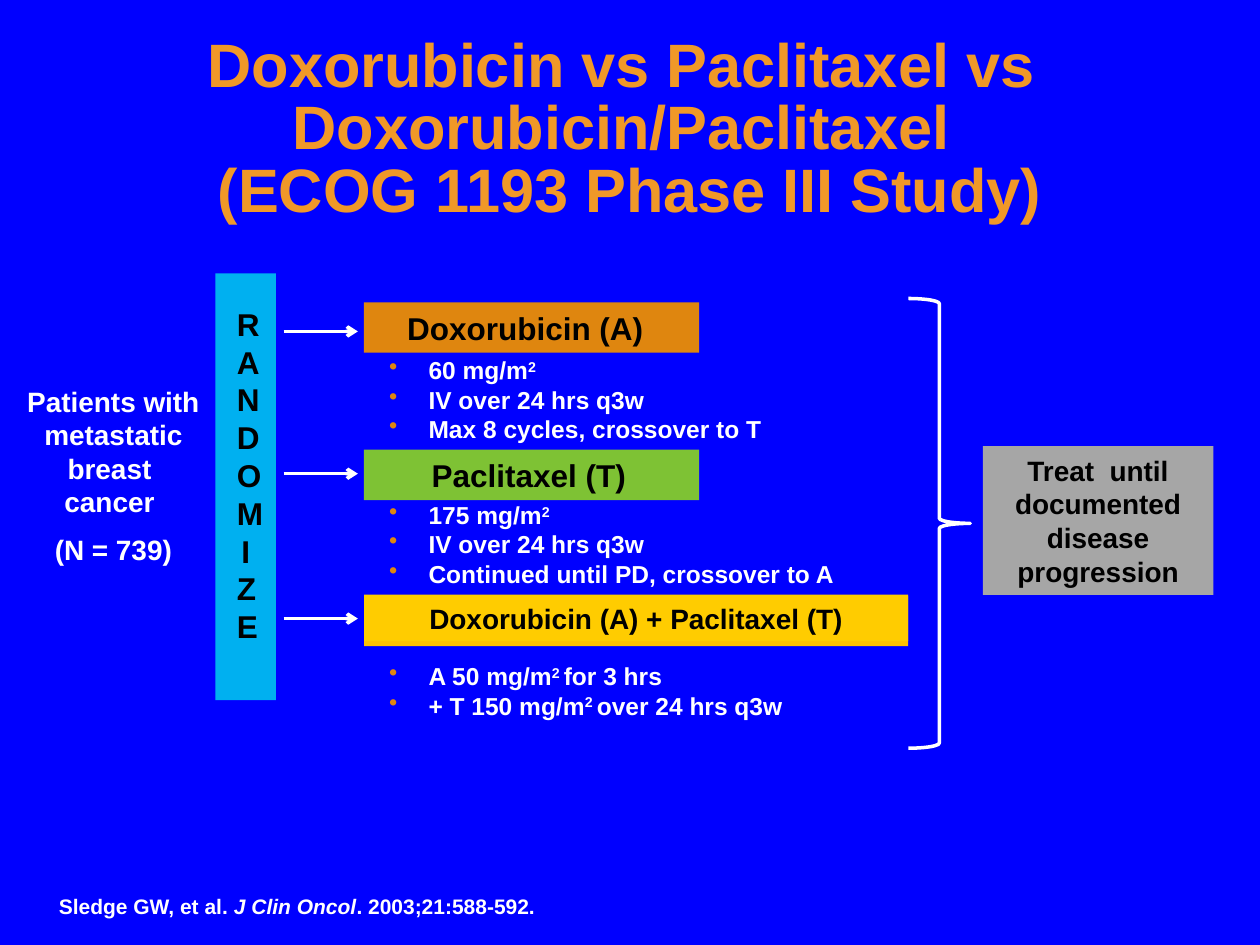
from collections import namedtuple
from dataclasses import dataclass

from lxml.etree import SubElement
from pptx import Presentation
from pptx.dml.color import RGBColor
from pptx.enum.shapes import MSO_CONNECTOR, MSO_SHAPE
from pptx.enum.text import MSO_ANCHOR, MSO_AUTO_SIZE, PP_ALIGN
from pptx.oxml.ns import qn
from pptx.util import Pt


@dataclass(frozen=True)
class Theme:
    font: str = "Arial"
    background: str = "0000FF"
    title: str = "F09828"
    light: str = "FFFFFF"
    dark: str = "000000"
    randomize: str = "00B0F0"
    outcome: str = "A6A6A6"
    bullet: str = "DF860F"
    doxorubicin: str = "DF860F"
    paclitaxel: str = "7EC234"
    combination: str = "FFCC00"
    combination_edge: str = "FFC000"
    title_size: float = 35
    heading_size: float = 18
    text_size: float = 16
    bullet_size: float = 14
    citation_size: float = 12
    line_width: float = 2


THEME = Theme()
Box = namedtuple("Box", "left top width height")
# nudge: extra right inset that moves the centred label left
Arm = namedtuple("Arm", "label size color header nudge arrow_y details items")

ARMS = [
    Arm("Doxorubicin (A)", THEME.heading_size, THEME.doxorubicin,
        Box(208, 172.8, 191.5, 28.8), 7, 189.4, Box(215.3, 199.4, 240, 58.3),
        [["60 mg/m", "^2"], ["IV over 24 hrs q3w"], ["Max 8 cycles, crossover to T"]]),
    Arm("Paclitaxel (T)", THEME.heading_size, THEME.paclitaxel,
        Box(208, 257, 191.5, 28.8), 3, 270.7, Box(215.3, 282.2, 312, 58.3),
        [["175 mg/m", "^2"], ["IV over 24 hrs q3w"], ["Continued until PD, crossover to A"]]),
    Arm("Doxorubicin (A) + Paclitaxel (T)", THEME.text_size, THEME.combination,
        Box(208, 339.8, 311, 26.6), 0, 353.5, Box(215.3, 374.4, 312, 41),
        [["A 50 mg/m", "^2 ", "for 3 hrs"], ["+ T 150 mg/m", "^2 ", "over 24 hrs q3w"]]),
]


def points(box):
    return [Pt(value) for value in box]


def add_run(paragraph, text, size, color, italic=False):
    run = paragraph.add_run()
    run.text = text
    font = run.font
    font.name, font.size, font.bold = THEME.font, Pt(size), True
    font.color.rgb = RGBColor.from_string(color)
    if italic:
        font.italic = True
    return run


def add_rectangle(slide, box, color):
    shape = slide.shapes.add_shape(MSO_SHAPE.RECTANGLE, *points(box))
    shape.shadow.inherit = False
    shape.fill.solid()
    shape.fill.fore_color.rgb = RGBColor.from_string(color)
    shape.line.fill.background()
    shape.text_frame.word_wrap = True
    return shape


def add_label(shape, text, size):
    paragraph = shape.text_frame.paragraphs[0]
    paragraph.alignment = PP_ALIGN.CENTER
    add_run(paragraph, text, size, THEME.dark)


def add_text_frame(slide, box):
    frame = slide.shapes.add_textbox(*points(box)).text_frame
    frame.word_wrap = True
    return frame


def add_title(slide, box):
    title = slide.shapes.title
    title.left, title.top, title.width, title.height = points(box)
    frame = title.text_frame
    frame.word_wrap = True
    frame.auto_size = MSO_AUTO_SIZE.NONE
    frame.vertical_anchor = MSO_ANCHOR.MIDDLE
    first, second = frame.paragraphs[0], frame.add_paragraph()
    runs = [add_run(first, "Doxorubicin vs Paclitaxel vs ", THEME.title_size, THEME.title),
            add_run(second, "Doxorubicin/Paclitaxel ", THEME.title_size, THEME.title)]
    second.add_line_break()
    runs.append(add_run(second, "(ECOG 1193 Phase III Study)", THEME.title_size, THEME.title))
    for paragraph in (first, second):
        paragraph.alignment = PP_ALIGN.CENTER
        paragraph.line_spacing = 0.85
        paragraph.space_before = Pt(0)
    # Text shadow, placed right after the run's fill
    for run in runs:
        properties = run._r.get_or_add_rPr()
        effects = SubElement(properties, qn("a:effectLst"))
        shadow = SubElement(effects, qn("a:outerShdw"), dist="38100", dir="2700000")
        SubElement(shadow, qn("a:srgbClr"), val=THEME.dark)
        properties.find(qn("a:solidFill")).addnext(effects)


def add_patients(slide, box):
    frame = add_text_frame(slide, box)
    group, count = frame.paragraphs[0], frame.add_paragraph()
    add_run(group, "Patients with metastatic breast ", THEME.text_size, THEME.light)
    group.add_line_break()
    add_run(group, "cancer ", THEME.text_size, THEME.light)
    add_run(count, "(N = 739)", THEME.text_size, THEME.light)
    count.space_before = Pt(8)
    group.alignment = count.alignment = PP_ALIGN.CENTER


def add_randomize_bar(slide, box):
    bar = add_rectangle(slide, box, THEME.randomize)
    frame = bar.text_frame
    frame.vertical_anchor = MSO_ANCHOR.TOP
    # Wide insets leave room for one letter a line
    frame.margin_left = frame.margin_right = Pt(12.2)
    frame.margin_top = Pt(18)
    add_label(bar, "RANDOMIZE", THEME.heading_size)


def add_arrow(slide, left, right, y):
    arrow = slide.shapes.add_connector(
        MSO_CONNECTOR.STRAIGHT, Pt(left), Pt(y), Pt(right), Pt(y))
    arrow.line.color.rgb = RGBColor.from_string(THEME.light)
    arrow.line.width = Pt(THEME.line_width)
    SubElement(arrow.line._get_or_add_ln(), qn("a:tailEnd"), type="arrow")
    SubElement(arrow._element.spPr, qn("a:effectLst"))


def add_bullets(slide, box, items):
    frame = add_text_frame(slide, box)
    for index, parts in enumerate(items):
        paragraph = frame.add_paragraph() if index else frame.paragraphs[0]
        properties = paragraph._p.get_or_add_pPr()
        properties.set("marL", str(Pt(22.5)))
        properties.set("indent", str(-Pt(22.5)))
        color = SubElement(properties, qn("a:buClr"))
        SubElement(color, qn("a:srgbClr"), val=THEME.bullet)
        SubElement(properties, qn("a:buChar"), char="•")
        for part in parts:
            run = add_run(paragraph, part.lstrip("^"), THEME.bullet_size, THEME.light)
            if part.startswith("^"):
                run._r.get_or_add_rPr().set("baseline", "30000")


def add_arm(slide, arm):
    header = add_rectangle(slide, arm.header, arm.color)
    header.text_frame.margin_right = Pt(7.2 + arm.nudge)
    add_label(header, arm.label, arm.size)
    add_bullets(slide, arm.details, arm.items)
    add_arrow(slide, 162, 204.5, arm.arrow_y)


def add_outcome(slide, brace_box, box):
    brace = slide.shapes.add_shape(MSO_SHAPE.RIGHT_BRACE, *points(brace_box))
    brace.shadow.inherit = False
    brace.fill.background()
    brace.line.color.rgb = RGBColor.from_string(THEME.light)
    brace.line.width = Pt(THEME.line_width)
    outcome = add_rectangle(slide, box, THEME.outcome)
    add_label(outcome, "Treat  until documented disease progression", THEME.text_size)


def add_citation(slide, box):
    paragraph = add_text_frame(slide, box).paragraphs[0]
    for text, italic in (("Sledge GW, et al. ", False), ("J Clin Oncol", True),
                         (". 2003;21:588-592.", False)):
        add_run(paragraph, text, THEME.citation_size, THEME.light, italic)


def main():
    presentation = Presentation()
    presentation.slide_width, presentation.slide_height = Pt(720), Pt(540)
    slide = presentation.slides.add_slide(presentation.slide_layouts[5])
    slide.background.fill.solid()
    slide.background.fill.fore_color.rgb = RGBColor.from_string(THEME.background)

    add_title(slide, Box(0, 5.8, 720, 138.2))
    add_patients(slide, Box(3.6, 216, 122.4, 113.8))
    add_randomize_bar(slide, Box(123.1, 156.2, 34.6, 244))
    # Darker lower edge of the combination header
    add_rectangle(slide, Box(208, 340.5, 311, 28.8), THEME.combination_edge)
    for arm in ARMS:
        add_arm(slide, arm)
    add_outcome(slide, Box(519.1, 170.6, 35.3, 257), Box(561.6, 254.9, 131.8, 85))
    add_citation(slide, Box(26.6, 506.9, 476.6, 21.6))
    presentation.save("out.pptx")


if __name__ == "__main__":
    main()
